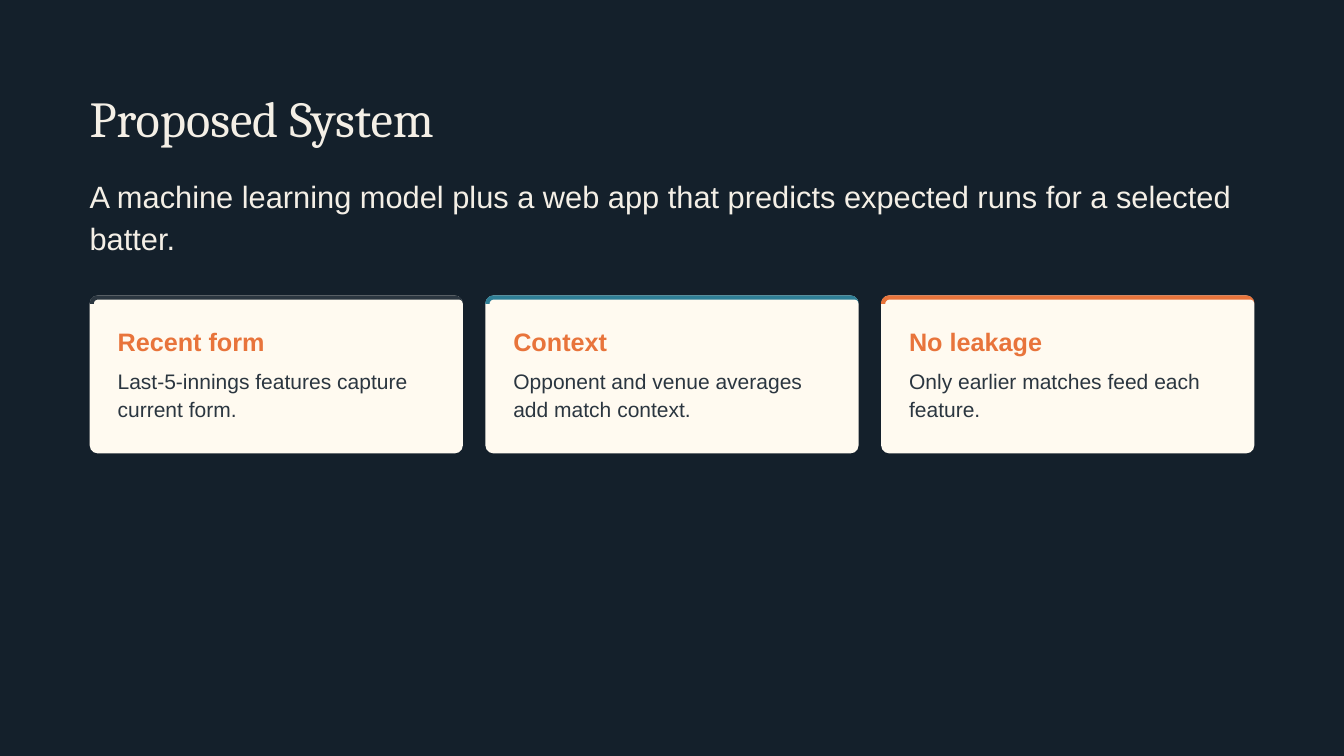
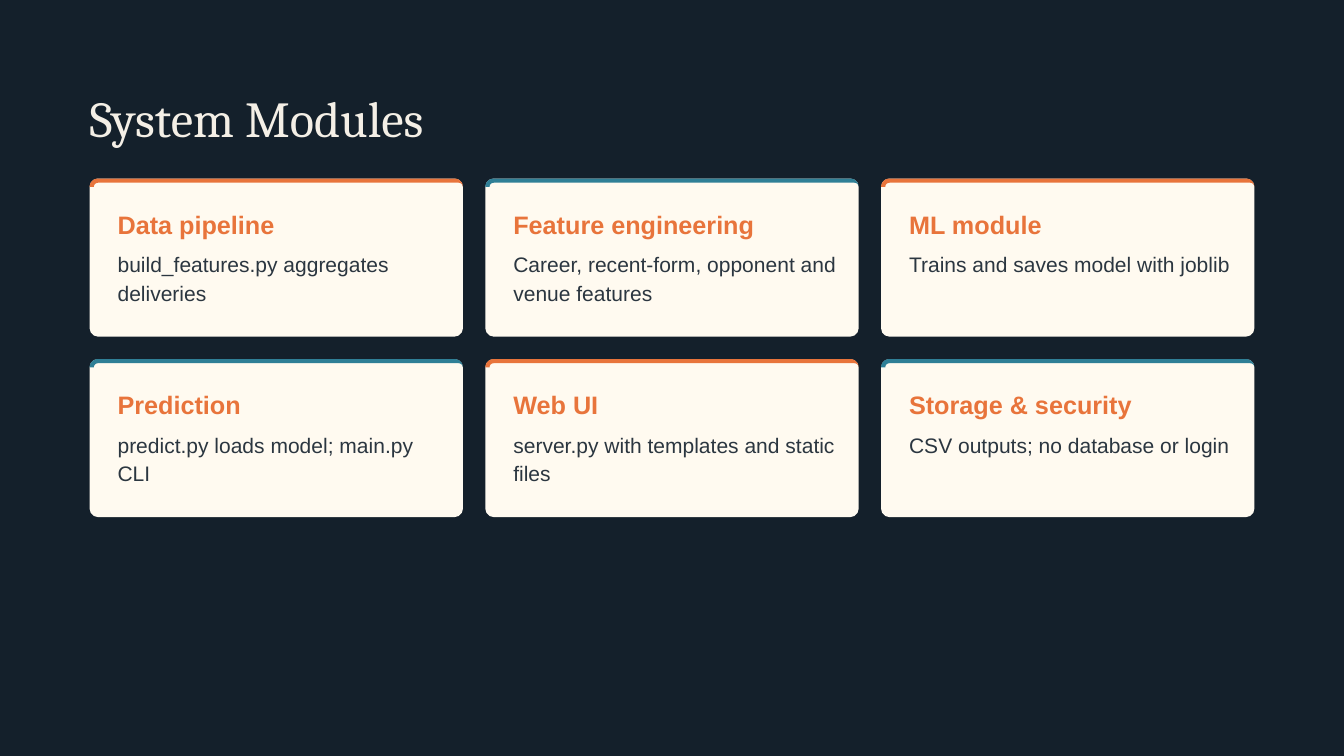
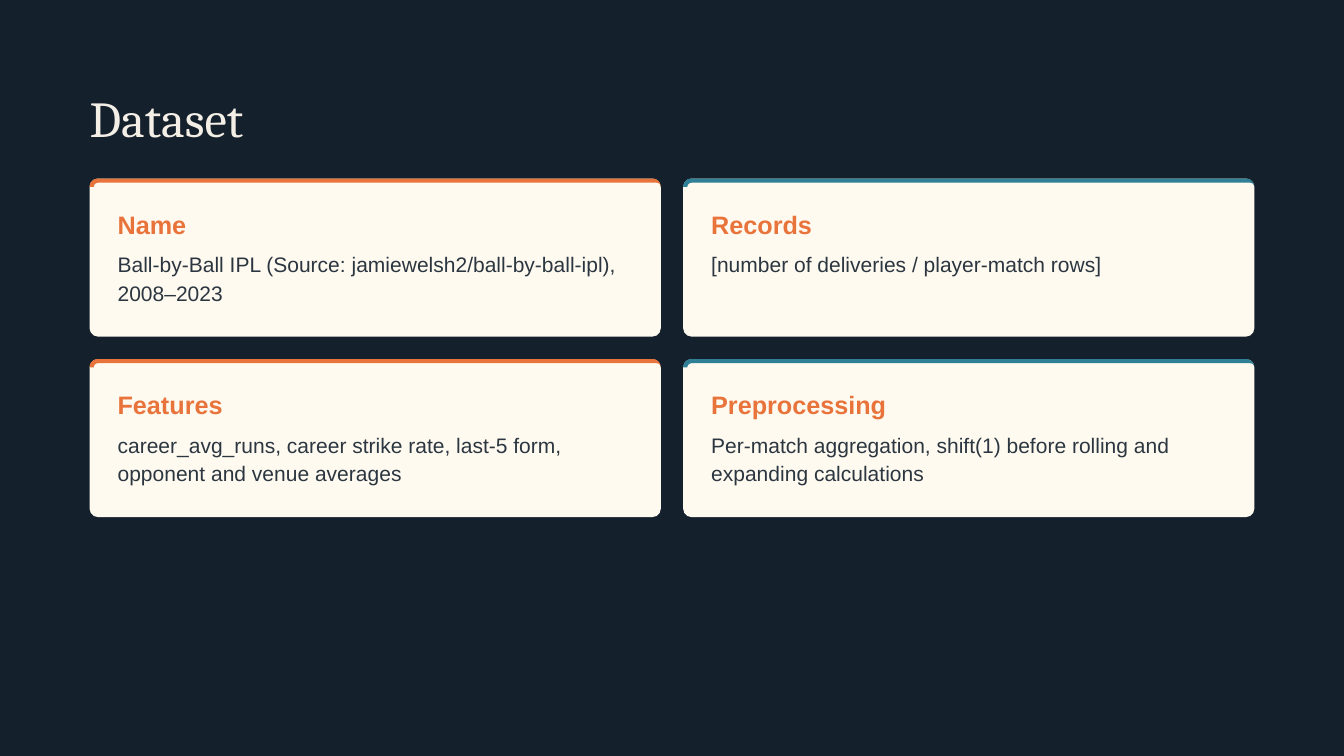
from dataclasses import dataclass
from itertools import cycle
from math import cos, radians, sin

from lxml import etree
from pptx import Presentation
from pptx.dml.color import RGBColor
from pptx.enum.shapes import MSO_SHAPE
from pptx.enum.text import MSO_ANCHOR, MSO_AUTO_SIZE, PP_ALIGN
from pptx.oxml.ns import qn
from pptx.util import Pt

ROUNDED_RECTANGLE = MSO_SHAPE.ROUNDED_RECTANGLE
TOP = MSO_ANCHOR.TOP
NO_AUTOFIT = MSO_AUTO_SIZE.NONE
LEFT = PP_ALIGN.LEFT

TITLE_AND_CONTENT, TITLE_ONLY = 1, 5


@dataclass(frozen=True)
class TextStyle:
    """Font, size, line pitch and colour of one kind of text."""
    font: str
    size: float
    line: float
    color: RGBColor
    bold: bool = False


class Theme:
    """Colours and text styles shared by all slides."""
    night = RGBColor(0x14, 0x20, 0x2B)
    cream = RGBColor(0xFF, 0xFA, 0xF0)
    ink = RGBColor(0x2B, 0x36, 0x40)
    teal = RGBColor(0x2F, 0x7F, 0x96)
    orange = RGBColor(0xE8, 0x74, 0x3B)
    light = RGBColor(0xF4, 0xEF, 0xE6)
    title = TextStyle("Cambria", 54, 59.4, light)
    lead = TextStyle("Arial", 33, 44.5, light)
    heading = TextStyle("Arial", 27, 32.4, orange, True)
    detail = TextStyle("Arial", 22.5, 30.4, ink)


SLIDE_WIDTH, SLIDE_HEIGHT = 1440, 810
MARGIN = 96
CONTENT_WIDTH = SLIDE_WIDTH - 2 * MARGIN
TEXT_SLACK = 1.03
GAP = 24
CARD_HEIGHT = 169.4
CARD_PADDING = 30
CORNER = 9
BAND = 4.5
GRID_TOP = 191.3
GRID_TOP_BELOW_LEAD = 316.5

SYSTEM_CARDS = [
    ("Recent form", "Last-5-innings features capture current form."),
    ("Context", "Opponent and venue averages add match context."),
    ("No leakage", "Only earlier matches feed each feature."),
]
MODULE_CARDS = [
    ("Data pipeline", "build_features.py aggregates deliveries"),
    ("Feature engineering", "Career, recent-form, opponent and venue features"),
    ("ML module", "Trains and saves model with joblib"),
    ("Prediction", "predict.py loads model; main.py CLI"),
    ("Web UI", "server.py with templates and static files"),
    ("Storage & security", "CSV outputs; no database or login"),
]
DATASET_CARDS = [
    ("Name", "Ball-by-Ball IPL (Source: jamiewelsh2/ball-by-ball-ipl), 2008–2023"),
    ("Records", "[number of deliveries / player-match rows]"),
    ("Features", "career_avg_runs, career strike rate, last-5 form, opponent and venue averages"),
    ("Preprocessing", "Per-match aggregation, shift(1) before rolling and expanding calculations"),
]


def set_attributes(target, values):
    """Set each named attribute of the target."""
    for name, value in values.items():
        setattr(target, name, value)


def write_text(shape, text, style):
    """Write one left-aligned paragraph without insets or bullet."""
    frame = shape.text_frame
    set_attributes(frame, {
        "margin_left": 0, "margin_top": 0, "margin_right": 0, "margin_bottom": 0,
        "word_wrap": True, "auto_size": NO_AUTOFIT, "vertical_anchor": TOP,
    })
    paragraph = frame.paragraphs[0]
    properties = paragraph._p.get_or_add_pPr()
    properties.set("marL", "0")
    properties.set("indent", "0")
    etree.SubElement(properties, qn("a:buNone"))
    set_attributes(paragraph, {
        "alignment": LEFT, "line_spacing": Pt(style.line), "space_before": Pt(0),
    })
    run = paragraph.add_run()
    run.text = text
    set_attributes(run.font, {
        "name": style.font, "size": Pt(style.size), "bold": style.bold,
    })
    run.font.color.rgb = style.color


def fill_placeholder(shape, text, style, top, height):
    """Move a placeholder to the content margin and write its text."""
    set_attributes(shape, {
        "left": Pt(MARGIN), "top": Pt(top),
        "width": Pt(CONTENT_WIDTH * TEXT_SLACK), "height": Pt(height),
    })
    write_text(shape, text, style)


def add_label(slide, text, style, left, top, width, height):
    """Add a text box."""
    box = slide.shapes.add_textbox(Pt(left), Pt(top), Pt(width), Pt(height))
    write_text(box, text, style)


def paint(shape, color):
    """Give a shape a plain fill without line or shadow."""
    shape.shadow.inherit = False
    shape.fill.solid()
    shape.fill.fore_color.rgb = color
    shape.line.fill.background()


def arc(center_x, center_y, radius_x, radius_y, start, end, steps=8):
    """Return points along an elliptical arc, with angles in degrees."""
    angles = [radians(start + (end - start) * step / steps) for step in range(steps + 1)]
    return [(center_x + radius_x * cos(angle), center_y - radius_y * sin(angle))
            for angle in angles]


def add_band(slide, left, top, width, color):
    """Add the coloured band that follows the rounded top of a card."""
    right, base = left + width, top + CORNER
    inner = CORNER - BAND
    points = (
        arc(left + CORNER, base, CORNER, CORNER, 180, 90)
        + arc(right - CORNER, base, CORNER, CORNER, 90, 0)
        + arc(right - BAND, base, BAND, inner, 0, 90)
        + arc(left + CORNER, base, inner, inner, 90, 180)
    )
    vertices = [(Pt(x), Pt(y)) for x, y in points]
    builder = slide.shapes.build_freeform(*vertices[0])
    builder.add_line_segments(vertices[1:], close=True)
    paint(builder.convert_to_shape(), color)


def add_card(slide, left, top, width, heading, detail, color):
    """Add a rounded card with a band, a heading and a detail text."""
    card = slide.shapes.add_shape(
        ROUNDED_RECTANGLE, Pt(left), Pt(top), Pt(width), Pt(CARD_HEIGHT))
    card.adjustments[0] = CORNER / CARD_HEIGHT
    paint(card, Theme.cream)
    add_band(slide, left, top, width, color)
    text_left = left + CARD_PADDING
    text_width = (width - 2 * CARD_PADDING) * TEXT_SLACK
    add_label(slide, heading, Theme.heading, text_left, top + 32.7, text_width, 36.6)
    add_label(slide, detail, Theme.detail, text_left, top + 75, text_width, 67.6)


def add_card_grid(slide, cards, columns, top=GRID_TOP, colors=(Theme.orange, Theme.teal)):
    """Lay out cards in equal columns, with band colours in turn."""
    width = (CONTENT_WIDTH - (columns - 1) * GAP) / columns
    for index, ((heading, detail), color) in enumerate(zip(cards, cycle(colors))):
        row, column = divmod(index, columns)
        add_card(slide, MARGIN + column * (width + GAP), top + row * (CARD_HEIGHT + GAP),
                 width, heading, detail, color)


def add_titled_slide(presentation, title, layout=TITLE_ONLY):
    """Add a slide with its title."""
    slide = presentation.slides.add_slide(presentation.slide_layouts[layout])
    fill_placeholder(slide.shapes.title, title, Theme.title, 99, 59.4)
    return slide


def main():
    """Build and save the presentation."""
    presentation = Presentation()
    set_attributes(presentation, {
        "slide_width": Pt(SLIDE_WIDTH), "slide_height": Pt(SLIDE_HEIGHT),
    })
    background = presentation.slide_master.background.fill
    background.solid()
    background.fore_color.rgb = Theme.night

    slide = add_titled_slide(presentation, "Proposed System", TITLE_AND_CONTENT)
    fill_placeholder(
        slide.placeholders[1],
        "A machine learning model plus a web app that predicts expected runs "
        "for a selected batter.",
        Theme.lead, 186, 98)
    add_card_grid(slide, SYSTEM_CARDS, 3, GRID_TOP_BELOW_LEAD,
                  (Theme.ink, Theme.teal, Theme.orange))

    slide = add_titled_slide(presentation, "System Modules")
    add_card_grid(slide, MODULE_CARDS, 3)

    slide = add_titled_slide(presentation, "Dataset")
    add_card_grid(slide, DATASET_CARDS, 2)

    presentation.save("out.pptx")


if __name__ == "__main__":
    main()
